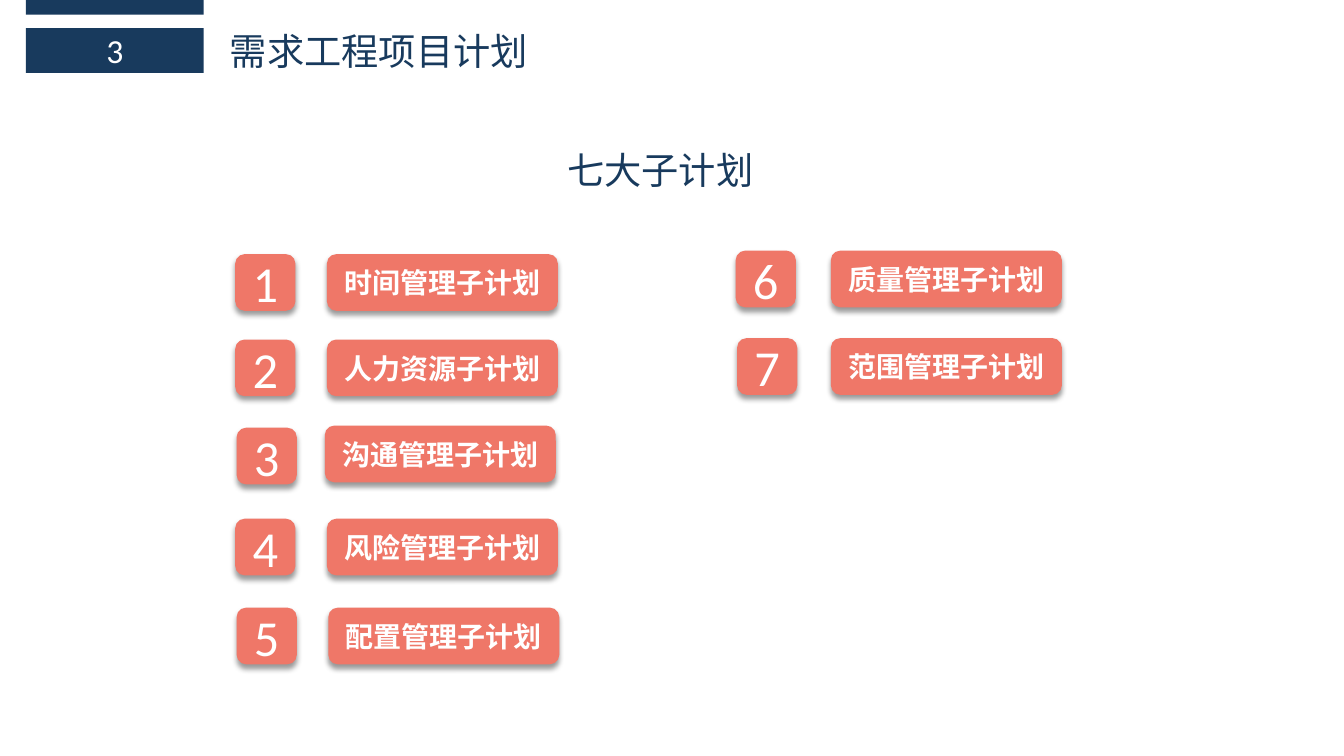
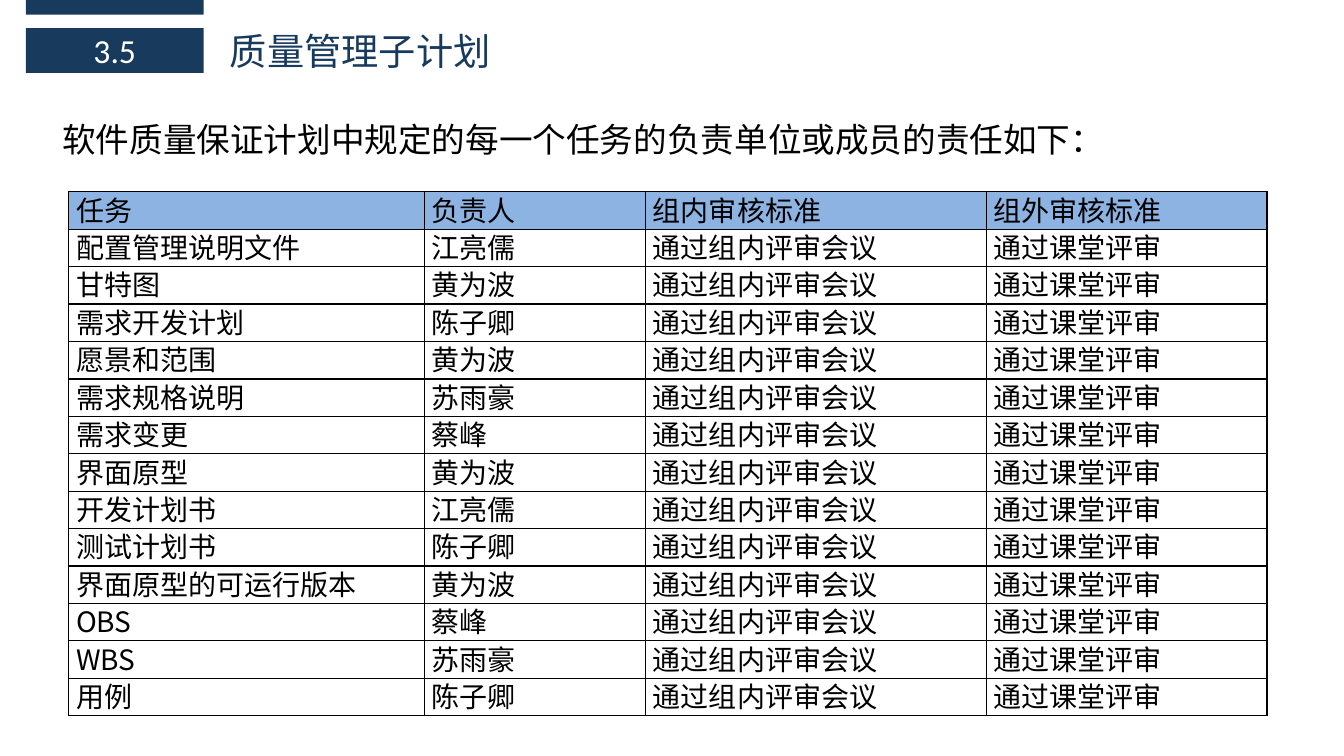
from lxml.etree import SubElement
from pptx import Presentation
from pptx.dml.color import RGBColor
from pptx.enum.shapes import MSO_SHAPE as Shape
from pptx.enum.text import MSO_ANCHOR as Anchor, MSO_AUTO_SIZE as Fit, PP_ALIGN as Align
from pptx.oxml import parse_xml
from pptx.oxml.ns import nsdecls, qn
from pptx.util import Pt

NAVY = RGBColor(0x18, 0x3A, 0x5D)
CORAL = RGBColor(0xEF, 0x77, 0x68)
SKY = RGBColor(0x8D, 0xB3, 0xE2)
WHITE = RGBColor(0xFF, 0xFF, 0xFF)
BLACK = RGBColor(0, 0, 0)
LATIN, HAN, SERIF = "Calibri", "Noto Sans CJK SC", "Cambria"

# Each plan: label, left of its number, left of its label, top of each
PLANS = [
    ("时间管理子计划", 168, 233.5, 181.5, 181.5),
    ("人力资源子计划", 168, 233.5, 242.5, 242.5),
    ("沟通管理子计划", 169, 232, 305.5, 304),
    ("风险管理子计划", 168, 233.5, 370.5, 370.5),
    ("配置管理子计划", 169, 234.5, 434, 434),
    ("质量管理子计划", 525.5, 593.5, 179, 179),
    ("范围管理子计划", 526.5, 593.5, 241.5, 241.5),
]
HEADS = ["任务", "负责人", "组内审核标准", "组外审核标准"]
CHECKS = ["通过组内评审会议", "通过课堂评审"]
TASKS = [
    ("配置管理说明文件", "江亮儒"), ("甘特图", "黄为波"),
    ("需求开发计划", "陈子卿"), ("愿景和范围", "黄为波"),
    ("需求规格说明", "苏雨豪"), ("需求变更", "蔡峰"),
    ("界面原型", "黄为波"), ("开发计划书", "江亮儒"),
    ("测试计划书", "陈子卿"), ("界面原型的可运行版本", "黄为波"),
    ("OBS", "蔡峰"), ("WBS", "苏雨豪"), ("用例", "陈子卿"),
]
WIDTHS = [254, 158, 243.5, 200.5]
ROW = 26.7


def style(frame, text, size, font, color, align=Align.LEFT, bold=False):
    frame.text = text
    para = frame.paragraphs[0]
    para.alignment = align
    face = para.runs[0].font
    face.name, face.size, face.bold = font, Pt(size), bold
    face.color.rgb = color
    return para


def place(item, left, top, width, height):
    item.left, item.top = Pt(left), Pt(top)
    item.width, item.height = Pt(width), Pt(height)


def block(slide, kind, color, left, top, width, height):
    item = slide.shapes.add_shape(kind, Pt(left), Pt(top), Pt(width), Pt(height))
    item.shadow.inherit = False
    item.fill.solid()
    item.fill.fore_color.rgb = color
    item.line.fill.background()
    item.text_frame.vertical_anchor = Anchor.MIDDLE
    return item


def label(slide, text, left, top, width, height, size, font, color):
    box = slide.shapes.add_textbox(Pt(left), Pt(top), Pt(width), Pt(height))
    box.text_frame.word_wrap = True
    return style(box.text_frame, text, size, font, color)


def tile(slide, text, left, top, width, size, font, bold):
    item = block(slide, Shape.ROUNDED_RECTANGLE, CORAL, left, top, width, 40.5)
    # Soft shadow below the tile
    item._element.spPr.find(qn("a:effectLst")).append(parse_xml(
        f'<a:outerShdw {nsdecls("a")} blurRad="{Pt(4)}" dist="{Pt(3)}" dir="5400000"'
        ' rotWithShape="0"><a:srgbClr val="000000"><a:alpha val="40000"/>'
        '</a:srgbClr></a:outerShdw>'))
    frame = item.text_frame
    frame.word_wrap = False
    frame.margin_top = frame.margin_bottom = Pt(5)
    style(frame, text, size, font, WHITE, Align.CENTER, bold)


def page(deck, number, text):
    slide = deck.slides.add_slide(deck.slide_layouts[5])
    # Bands and section number
    block(slide, Shape.RECTANGLE, NAVY, 18.5, 0, 127, 10.5)
    band = block(slide, Shape.RECTANGLE, NAVY, 18.5, 20, 127, 32)
    style(band.text_frame, number, 24, LATIN, WHITE, Align.CENTER)
    # Title
    title = slide.shapes.title
    place(title, 157, 16.5, 476.5, 39.5)
    title.text_frame.auto_size = Fit.NONE
    title.text_frame.vertical_anchor = Anchor.TOP
    style(title.text_frame, text, 26.6, HAN, NAVY)
    return slide


def border(cell):
    props = cell._tc.get_or_add_tcPr()
    for spot, side in enumerate(("lnL", "lnR", "lnT", "lnB")):
        line = parse_xml(f'<a:{side} {nsdecls("a")} w="{Pt(1)}"/>')
        fill = SubElement(line, qn("a:solidFill"))
        SubElement(fill, qn("a:srgbClr"), val=str(BLACK))
        props.insert(spot, line)


def grid(slide, rows, left, top):
    shape = slide.shapes.add_table(len(rows), len(WIDTHS), Pt(left), Pt(top),
                                   Pt(sum(WIDTHS)), Pt(ROW * len(rows)))
    table = shape.table
    for col, width in zip(table.columns, WIDTHS):
        col.width = Pt(width)
    for r, row in enumerate(rows):
        table.rows[r].height = Pt(ROW)
        for c, text in enumerate(row):
            cell = table.cell(r, c)
            cell.margin_left = cell.margin_right = Pt(5.4)
            cell.margin_top = cell.margin_bottom = 0
            font = HAN if text.isascii() else LATIN
            para = style(cell.text_frame, text, 20, font, BLACK, Align.JUSTIFY)
            # Exact spacing keeps each line inside its row
            para.line_spacing = Pt(ROW)
            if r == 0:
                cell.fill.solid()
                cell.fill.fore_color.rgb = SKY
            else:
                cell.fill.background()
            border(cell)


def main():
    deck = Presentation()
    deck.slide_width, deck.slide_height = Pt(960), Pt(540)

    # Seven plans
    slide = page(deck, "3", "需求工程项目计划")
    label(slide, "七大子计划", 398, 101.5, 476.5, 39.5, 26.6, HAN, NAVY)
    for n, (name, left, side, top, level) in enumerate(PLANS, 1):
        tile(slide, str(n), left, top, 43, 36, LATIN, False)
        tile(slide, name, side, level, 165, 20, HAN, True)

    # Quality tasks
    slide = page(deck, "3.5", "质量管理子计划")
    grid(slide, [HEADS] + [[*task, *CHECKS] for task in TASKS], 49, 137)
    para = label(slide, "软件质量保证计划中规定的每一个任务的负责单位或成员的责任如下：",
                 37.5, 77, 856, 39, 24, SERIF, BLACK)
    para.line_spacing, para.space_after = 1.15, Pt(10)

    deck.save("out.pptx")


if __name__ == "__main__":
    main()
